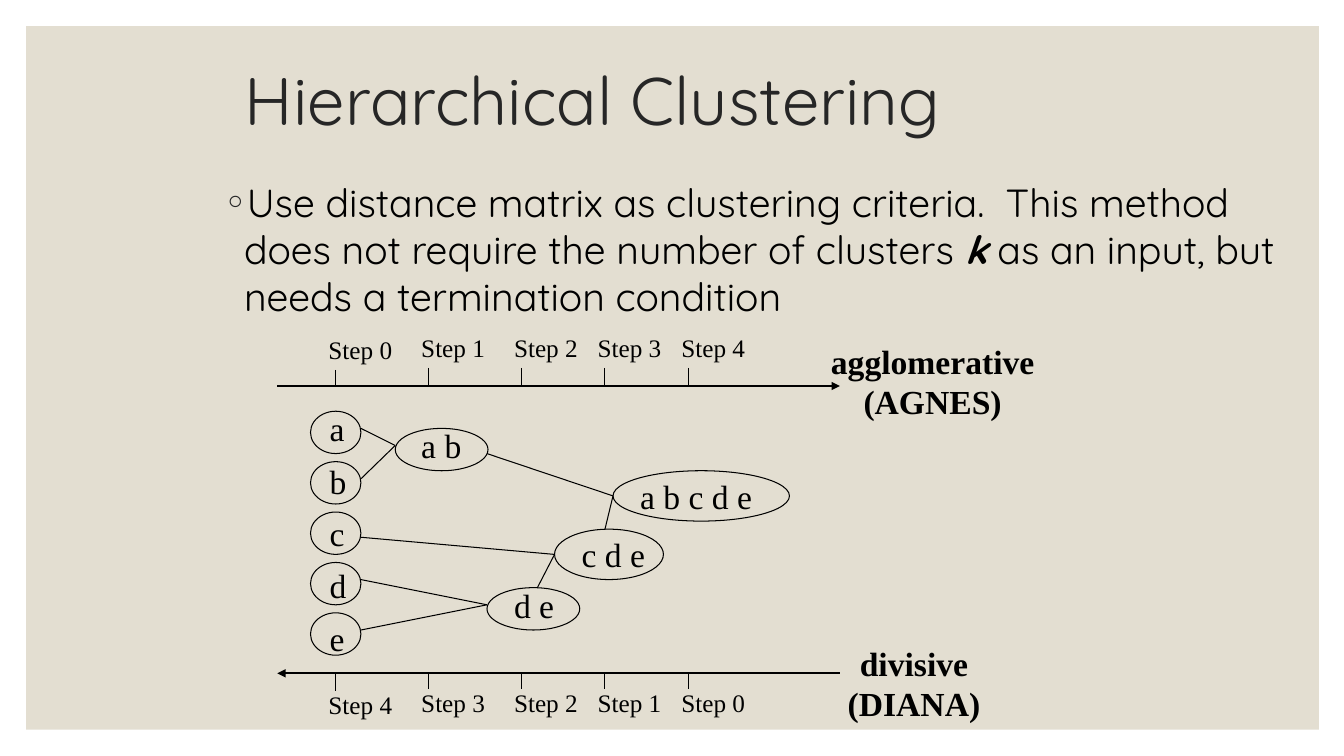
from dataclasses import dataclass

from lxml import etree
from pptx import Presentation
from pptx.dml.color import RGBColor
from pptx.enum.shapes import MSO_CONNECTOR, MSO_SHAPE
from pptx.enum.text import MSO_ANCHOR, MSO_AUTO_SIZE, PP_ALIGN
from pptx.oxml.ns import qn
from pptx.util import Inches, Pt

STRAIGHT = MSO_CONNECTOR.STRAIGHT
RECTANGLE, OVAL = MSO_SHAPE.RECTANGLE, MSO_SHAPE.OVAL
TOP, BOTTOM = MSO_ANCHOR.TOP, MSO_ANCHOR.BOTTOM
LEFT, CENTER = PP_ALIGN.LEFT, PP_ALIGN.CENTER
NO_FIT, GROW = MSO_AUTO_SIZE.NONE, MSO_AUTO_SIZE.SHAPE_TO_FIT_TEXT

SANS, SERIF = "Quicksand", "Times New Roman"
BLACK, INK, SAND = "000000", "262626", "E3DED1"


@dataclass
class Cluster:
    name: str
    left: float
    top: float
    width: float
    height: float
    text_left: float
    text_top: float
    text_width: float


@dataclass
class Axis:
    y: float
    tick_top: float
    label_offset: float
    steps: tuple[int, ...]
    arrow_end: str
    caption: tuple[str, str]
    caption_box: tuple[float, float, float, float]


@dataclass
class Link:
    x1: float
    y1: float
    x2: float
    y2: float


TICKS = (3.33, 4.25, 5.17, 6, 6.83)
FIRST_TICK_DROP = 0.02

AXES = [
    Axis(3.83, 3.65, -0.4, (0, 1, 2, 3, 4), "tailEnd",
         ("agglomerative", "(AGNES)"), (8.13, 3.33, 2.24, 0.91)),
    Axis(6.68, 6.67, 0.1, (4, 3, 2, 1, 0), "headEnd",
         ("divisive", "(DIANA)"), (8.3, 6.33, 1.53, 0.91)),
]

CLUSTERS = [
    Cluster(letter, 3.08, 4.08 + 0.5 * row, 0.5, 0.42, 3.17, 4 + 0.52 * row, 0.36)
    for row, letter in enumerate("abcde")
] + [
    Cluster("a b", 3.92, 4.25, 0.92, 0.42, 4.08, 4.17, 0.6),
    Cluster("d e", 4.83, 5.83, 0.92, 0.42, 5, 5.75, 0.6),
    Cluster("c d e", 5.5, 5.25, 1.08, 0.5, 5.67, 5.25, 0.83),
    Cluster("a b c d e", 6.08, 4.67, 1.75, 0.5, 6.25, 4.67, 1.31),
]

LINKS = [
    Link(3.58, 4.25, 3.92, 4.42),
    Link(3.58, 4.75, 3.92, 4.42),
    Link(3.58, 5.75, 4.83, 6),
    Link(3.58, 6.25, 4.83, 6),
    Link(3.58, 5.33, 5.5, 5.5),
    Link(5.33, 5.83, 5.5, 5.5),
    Link(4.83, 4.5, 6.08, 4.92),
    Link(6, 5.25, 6.08, 4.92),
]


def color(value: str) -> RGBColor:
    return RGBColor.from_string(value)


def place(shape, left: float, top: float, width: float, height: float) -> None:
    shape.left, shape.top = Inches(left), Inches(top)
    shape.width, shape.height = Inches(width), Inches(height)


def add_run(paragraph, text: str, size: float, font: str, ink: str = BLACK,
            bold: bool = False, italic: bool = False) -> None:
    run = paragraph.add_run()
    run.text = text
    run.font.size, run.font.name = Pt(size), font
    run.font.bold, run.font.italic = bold, italic
    run.font.color.rgb = color(ink)


def add_label(slide, lines: tuple[str, ...], box: tuple[float, float, float, float],
              size: float = 24, bold: bool = False, wrap: bool = False,
              align: PP_ALIGN = LEFT) -> None:
    shape = slide.shapes.add_textbox(*map(Inches, box))
    frame = shape.text_frame
    frame.word_wrap, frame.auto_size = wrap, GROW
    for index, line in enumerate(lines):
        paragraph = frame.add_paragraph() if index else frame.paragraphs[0]
        paragraph.alignment = align
        add_run(paragraph, line, size, SERIF, bold=bold)


def add_line(slide, link: Link, width: float = 0.75, arrow_end: str = "") -> None:
    ends = map(Inches, (link.x1, link.y1, link.x2, link.y2))
    connector = slide.shapes.add_connector(STRAIGHT, *ends)
    connector.line.color.rgb = color(BLACK)
    connector.line.width = Pt(width)
    if arrow_end:
        line_xml = connector.line._get_or_add_ln()
        etree.SubElement(line_xml, qn(f"a:{arrow_end}"), type="triangle")
    etree.SubElement(connector._element.spPr, qn("a:effectLst"))


def add_background(slide) -> None:
    panel = slide.shapes.add_shape(RECTANGLE, *map(Inches, (0.26, 0.26, 12.82, 6.98)))
    panel.shadow.inherit = False
    panel.fill.solid()
    panel.fill.fore_color.rgb = color(SAND)
    panel.line.fill.background()
    # Behind the placeholders
    slide.shapes._spTree.insert(2, panel._element)


def fill_title(slide) -> None:
    title = slide.shapes.title
    place(title, 2.33, 0.53, 8.43, 0.91)
    frame = title.text_frame
    frame.auto_size, frame.vertical_anchor = NO_FIT, BOTTOM
    paragraph = frame.paragraphs[0]
    paragraph.alignment, paragraph.line_spacing = LEFT, 0.9
    add_run(paragraph, "Hierarchical Clustering", 48, SANS, INK)


def fill_body(slide) -> None:
    body = slide.placeholders[1]
    place(body, 2.12, 1.72, 10.73, 4.73)
    frame = body.text_frame
    frame.auto_size, frame.vertical_anchor = NO_FIT, TOP
    paragraph = frame.paragraphs[0]
    paragraph.space_before = Pt(0)
    properties = paragraph._p.get_or_add_pPr()
    properties.set("marL", str(Inches(0.2)))
    properties.set("indent", str(Inches(-0.2)))
    bullet_color = etree.SubElement(properties, qn("a:buClr"))
    etree.SubElement(bullet_color, qn("a:srgbClr"), val=INK)
    etree.SubElement(properties, qn("a:buFont"), typeface=SANS)
    etree.SubElement(properties, qn("a:buChar"), char="◦")
    add_run(paragraph, "Use distance matrix as clustering criteria.  This method does "
            "not require the number of clusters ", 28, SANS)
    add_run(paragraph, "k", 28, SANS, bold=True, italic=True)
    add_run(paragraph, " as an input, but needs a termination condition", 28, SANS)


def add_axis(slide, axis: Axis) -> None:
    add_line(slide, Link(2.75, axis.y, 8.33, axis.y), 1.5, axis.arrow_end)
    for index, (x, step) in enumerate(zip(TICKS, axis.steps)):
        top = axis.tick_top + (0 if index else FIRST_TICK_DROP)
        add_line(slide, Link(x, top, x, top + 0.17))
        box = (x - 0.17, top + axis.label_offset, 0.83, 0.4)
        add_label(slide, (f"Step {step}",), box, 18, wrap=True)
    add_label(slide, axis.caption, axis.caption_box, bold=True, align=CENTER)


def add_cluster(slide, cluster: Cluster) -> None:
    add_label(slide, (cluster.name,),
              (cluster.text_left, cluster.text_top, cluster.text_width, 0.5))
    box = (cluster.left, cluster.top, cluster.width, cluster.height)
    oval = slide.shapes.add_shape(OVAL, *map(Inches, box))
    oval.shadow.inherit = False
    oval.fill.background()
    oval.line.color.rgb = color(BLACK)
    oval.line.width = Pt(0.75)


def main() -> None:
    presentation = Presentation()
    presentation.slide_width, presentation.slide_height = Inches(13.33), Inches(7.5)
    slide = presentation.slides.add_slide(presentation.slide_layouts[1])

    # Panel and text
    add_background(slide)
    fill_title(slide)
    fill_body(slide)

    # Cluster tree between the two step axes
    for axis in AXES:
        add_axis(slide, axis)
    for cluster in CLUSTERS:
        add_cluster(slide, cluster)
    for link in LINKS:
        add_line(slide, link)

    presentation.save("out.pptx")


if __name__ == "__main__":
    main()
